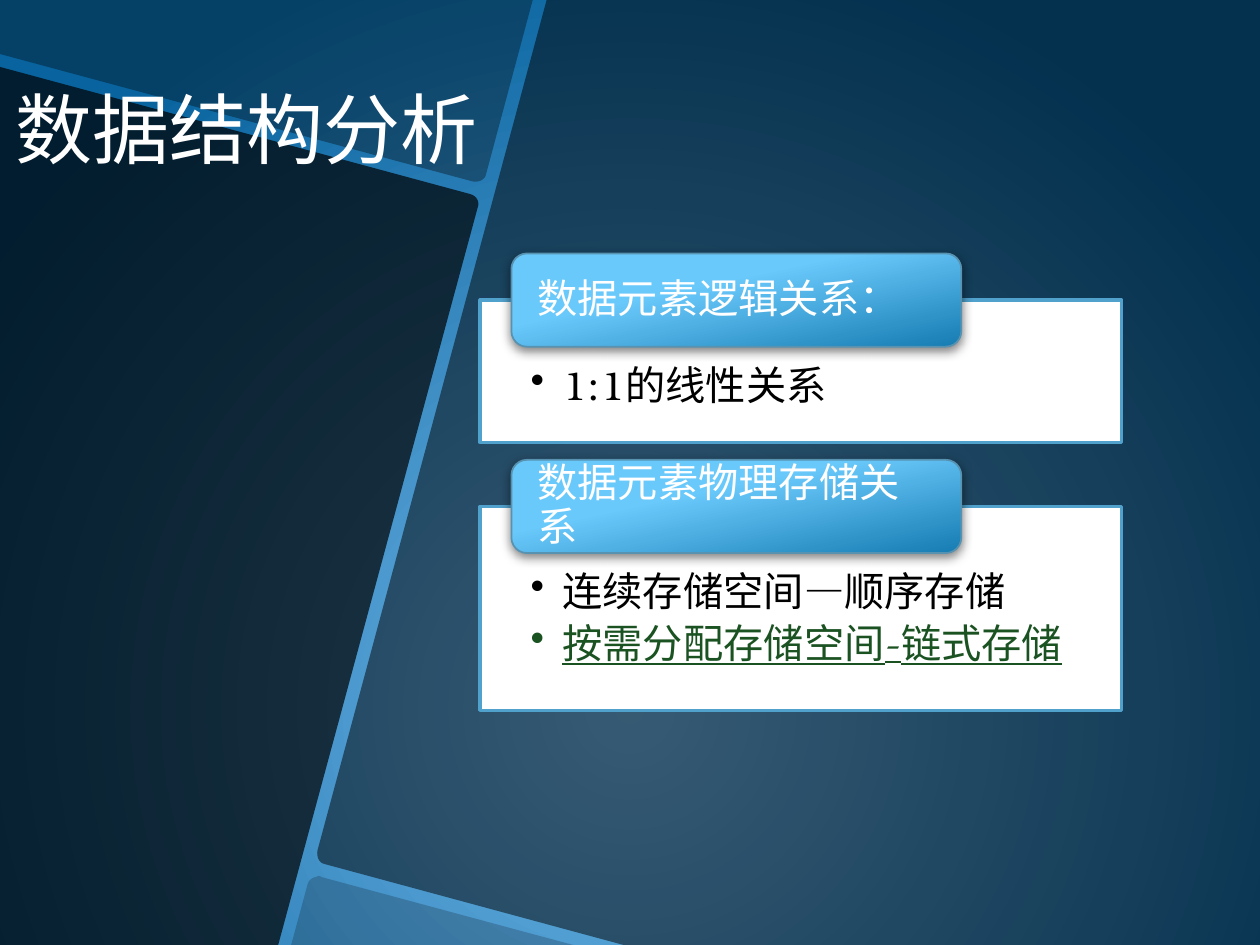
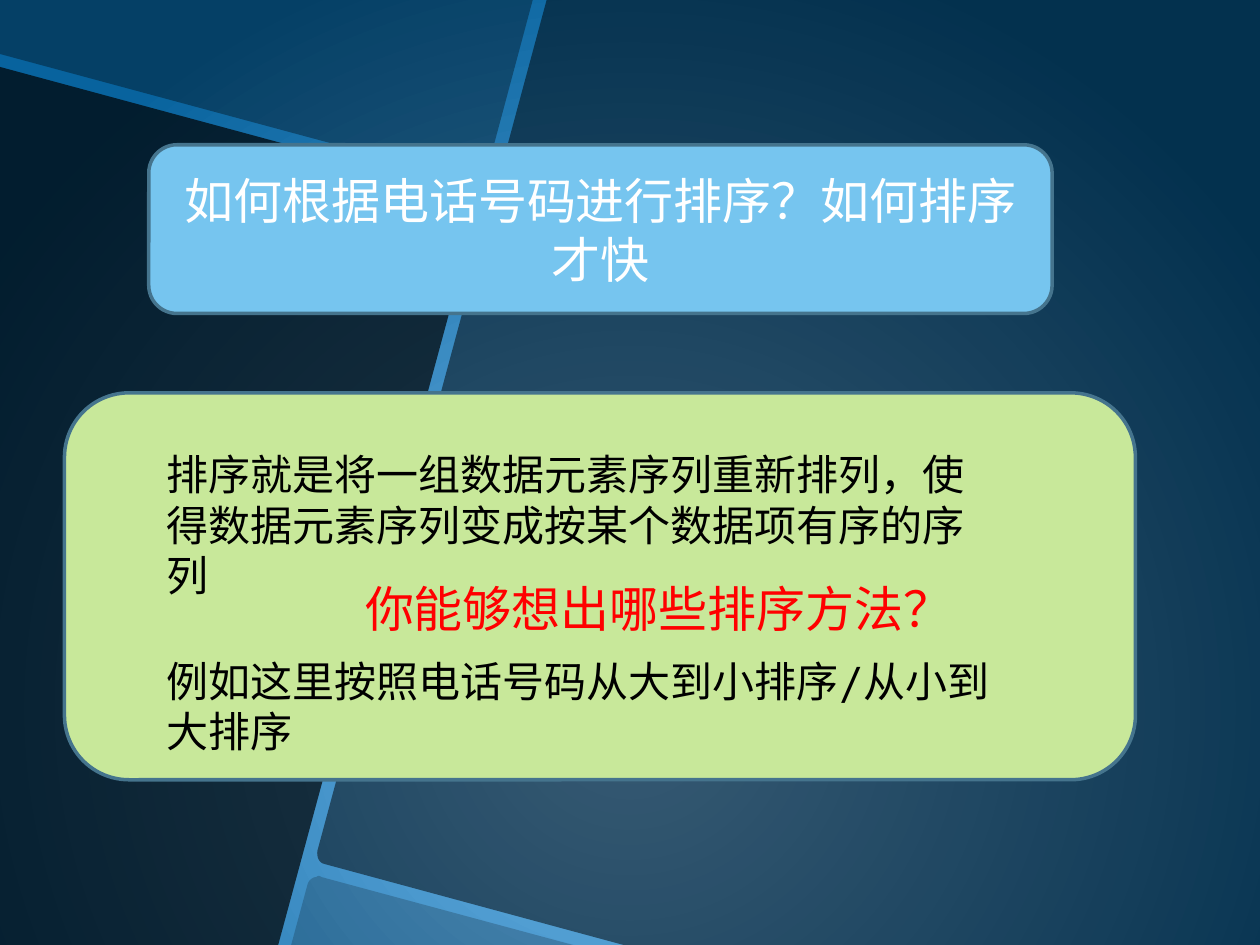
from dataclasses import dataclass

from lxml import etree
from pptx import Presentation
from pptx.dml.color import RGBColor
from pptx.enum.lang import MSO_LANGUAGE_ID
from pptx.enum.shapes import MSO_SHAPE
from pptx.enum.text import MSO_ANCHOR, PP_ALIGN
from pptx.oxml.ns import qn
from pptx.util import Cm, Pt

RECT, ROUNDED = MSO_SHAPE.RECTANGLE, MSO_SHAPE.ROUNDED_RECTANGLE
TOP, MIDDLE, BOTTOM = MSO_ANCHOR.TOP, MSO_ANCHOR.MIDDLE, MSO_ANCHOR.BOTTOM
LEFT, CENTER, RIGHT = PP_ALIGN.LEFT, PP_ALIGN.CENTER, PP_ALIGN.RIGHT
CHINESE = MSO_LANGUAGE_ID.SIMPLIFIED_CHINESE


@dataclass(frozen=True)
class Theme:
    """Fonts, type sizes in points and colours of the deck."""

    font: str = "TeX Gyre Bonum"
    title: int = 44
    question: int = 28
    body: int = 24
    card: int = 23
    white: str = "FFFFFF"
    black: str = "000000"
    link: str = "1A5221"
    prompt: str = "FF0000"
    glow: str = "70B6E8"
    edge: str = "08639E"
    card_line: str = "50A1CC"
    tab_light: str = "6AC9FB"
    tab_dark: str = "167CB2"
    tab_line: str = "5792B1"
    sky: str = "76C5EF"
    lime: str = "C8E89A"
    outline: str = "45748D"


@dataclass(frozen=True)
class Box:
    """A rectangle in centimetres."""

    left: float
    top: float
    width: float
    height: float

    def emu(self):
        """Return the four lengths for python-pptx."""
        return Cm(self.left), Cm(self.top), Cm(self.width), Cm(self.height)


THEME = Theme()
WIDTH, HEIGHT = 25.4, 19.05
DEFAULT_INSETS = (0.25, 0.13, 0.25, 0.13)

# Pairs are corners; sextuples are Bezier curves (two controls, then the end).
PANELS = [
    (70, [(0, 1.35), (9.47, 3.91), (9.6, 3.94, 9.68, 4.06, 9.63, 4.19),
          (5.61, HEIGHT), (0, HEIGHT)]),
    (35, [(0, 0), (10.74, 0), (9.8, 3.51),
          (9.78, 3.63, 9.65, 3.68, 9.53, 3.66), (0, 1.09)]),
    (20, [(6.38, 17.68), (6.4, 17.65, 6.45, 17.65, 6.48, 17.68),
          (11.56, HEIGHT), (5.87, HEIGHT), (6.2, 17.83),
          (6.22, 17.75, 6.3, 17.68, 6.38, 17.68)]),
    (50, [(11.02, 0), (WIDTH, 0), (WIDTH, HEIGHT), (12.57, HEIGHT),
          (6.55, 17.42), (6.43, 17.4, 6.38, 17.27, 6.4, 17.15)]),
]

CARDS = [
    ("数据元素逻辑关系：", 2.87, [("1:1的线性关系", False)]),
    ("数据元素物理存储关系", 4.11,
     [("连续存储空间—顺序存储", False), ("按需分配存储空间-链式存储", True)]),
]


def rgb(code):
    """Turn a hex code into a colour."""
    return RGBColor.from_string(code)


def child(parent, tag, **attributes):
    """Append a DrawingML element and return it."""
    texts = {name: str(value) for name, value in attributes.items()}
    return etree.SubElement(parent, qn(tag), texts)


def gradient(fill, stops):
    """Give a fill a two-stop gradient."""
    fill.gradient()
    for stop, (position, colour) in zip(fill.gradient_stops, stops):
        stop.position = position
        stop.color.rgb = rgb(colour)


def set_background(master):
    """Give every slide the radial blue background."""
    gradient(master.background.fill, [(0, THEME.glow), (1, THEME.edge)])
    radial = master._element.find(".//" + qn("a:gradFill"))
    radial.remove(radial.find(qn("a:lin")))
    focus = child(radial, "a:path", path="circle")
    child(focus, "a:fillToRect", l=50000, t=50000, r=50000, b=0)


def trace(outline, steps=8):
    """Turn corners and curves into a list of points."""
    points = []
    for part in outline:
        if len(part) == 2:
            points.append(part)
            continue
        (x0, y0), (x1, y1, x2, y2, x3, y3) = points[-1], part
        for step in range(1, steps + 1):
            t = step / steps
            weights = ((1 - t) ** 3, 3 * t * (1 - t) ** 2, 3 * t * t * (1 - t), t ** 3)
            points.append((sum(w * x for w, x in zip(weights, (x0, x1, x2, x3))),
                           sum(w * y for w, y in zip(weights, (y0, y1, y2, y3)))))
    return points


def draw_panels(slide):
    """Lay the translucent black panels over the background."""
    for opacity, outline in PANELS:
        start, *rest = [(Cm(x), Cm(y)) for x, y in trace(outline)]
        builder = slide.shapes.build_freeform(*start)
        builder.add_line_segments(rest, close=True)
        panel = builder.convert_to_shape()
        panel.shadow.inherit = False
        panel.line.fill.background()
        panel.fill.solid()
        panel.fill.fore_color.rgb = rgb(THEME.black)
        colour = panel._element.spPr.find(".//" + qn("a:srgbClr"))
        child(colour, "a:alpha", val=opacity * 1000)


def add_block(slide, kind, box, fill, line, weight):
    """Add a filled and outlined preset shape."""
    block = slide.shapes.add_shape(kind, *box.emu())
    block.shadow.inherit = False
    block.fill.solid()
    block.fill.fore_color.rgb = rgb(fill)
    block.line.color.rgb = rgb(line)
    block.line.width = Pt(weight)
    return block


def prepare_frame(shape, anchor, insets=DEFAULT_INSETS):
    """Set wrapping, anchor and insets, and return the text frame."""
    frame = shape.text_frame
    frame.word_wrap = True
    frame.vertical_anchor = anchor
    (frame.margin_left, frame.margin_top,
     frame.margin_right, frame.margin_bottom) = map(Cm, insets)
    return frame


def write(paragraph, words, size, colour, align=LEFT, underline=None):
    """Add one run to a paragraph."""
    paragraph.alignment = align
    run = paragraph.add_run()
    run.text = words
    font = run.font
    font.name, font.size = THEME.font, Pt(size)
    font.color.rgb = rgb(colour)
    font.underline = underline
    font.language_id = CHINESE


def add_text(slide, box, words, size, colour, anchor=TOP, align=LEFT,
             insets=DEFAULT_INSETS):
    """Add a text box with a single paragraph."""
    frame = prepare_frame(slide.shapes.add_textbox(*box.emu()), anchor, insets)
    write(frame.paragraphs[0], words, size, colour, align)


def add_bullet(paragraph, words, linked):
    """Write one bulleted card line."""
    paragraph.line_spacing = 0.9
    paragraph.space_after = Pt(4.5)
    properties = paragraph._p.get_or_add_pPr()
    properties.set("marL", str(Cm(0.64)))
    properties.set("indent", str(-Cm(0.64)))
    child(properties, "a:buChar", char="•")
    write(paragraph, words, THEME.card, THEME.link if linked else THEME.black,
          underline=linked or None)


def add_tab(slide, box, heading):
    """Add the glossy heading tab of a card."""
    tab = add_block(slide, ROUNDED, box, THEME.tab_light, THEME.tab_line, 1)
    gradient(tab.fill, [(0.38, THEME.tab_light), (1, THEME.tab_dark)])
    tab.fill.gradient_angle = 282
    shadow = child(tab._element.spPr.find(qn("a:effectLst")), "a:outerShdw",
                   blurRad=Pt(6), dist=Pt(2), dir=5400000, rotWithShape=0)
    colour = child(shadow, "a:srgbClr", val=THEME.black)
    child(colour, "a:alpha", val=50000)
    paragraph = prepare_frame(tab, MIDDLE, (0.43, 0.1, 0.43, 0.1)).paragraphs[0]
    paragraph.line_spacing = 0.9
    write(paragraph, heading, THEME.card, THEME.white)


def add_card(slide, box, heading, points):
    """Add a white card with its bullets and heading tab."""
    card = add_block(slide, RECT, box, THEME.white, THEME.card_line, 2)
    frame = prepare_frame(card, TOP, (1.02, 1.32, 1.02, 0.46))
    for index, (words, linked) in enumerate(points):
        paragraph = frame.add_paragraph() if index else frame.paragraphs[0]
        add_bullet(paragraph, words, linked)
    add_tab(slide, Box(box.left + 0.63, box.top - 0.94, 9.07, 1.88), heading)


def add_card_stack(slide, left, top, width, gap):
    """Stack the cards with equal gaps."""
    for heading, height, points in CARDS:
        add_card(slide, Box(left, top, width, height), heading, points)
        top += height + gap


def add_sorting_panel(slide, box):
    """Add the green panel that explains sorting."""
    add_block(slide, ROUNDED, box, THEME.lime, THEME.outline, 2)
    left = box.left + 1.8
    add_text(slide, Box(left, box.top + 1, 17.2, 3.33),
             "排序就是将一组数据元素序列重新排列，使得数据元素序列变成按某个数据项有序的序列",
             THEME.body, THEME.black)
    add_text(slide, Box(left, box.top + 5.16, 17.2, 2.31),
             "例如这里按照电话号码从大到小排序/从小到大排序", THEME.body, THEME.black)
    add_text(slide, Box(box.left + 5.81, box.top + 2.82, 18, 3.05),
             "你能够想出哪些排序方法？", THEME.question, THEME.prompt, MIDDLE)


def build_structure_slide(slide):
    """Build the data structure analysis slide."""
    draw_panels(slide)
    add_text(slide, Box(0, 0, 9.88, 3.63), "数据结构分析", THEME.title, THEME.white,
             BOTTOM, RIGHT, (0, 0.13, 0.25, 0.13))
    add_card_stack(slide, left=9.68, top=6.05, width=12.93, gap=1.29)


def build_sorting_slide(slide):
    """Build the sorting question slide."""
    draw_panels(slide)
    question = add_block(slide, ROUNDED, Box(3, 2.92, 18.21, 3.4),
                         THEME.sky, THEME.outline, 2)
    write(prepare_frame(question, MIDDLE).paragraphs[0],
          "如何根据电话号码进行排序？如何排序才快", THEME.question, THEME.white, CENTER)
    add_sorting_panel(slide, Box(1.3, 7.92, 21.59, 7.8))


def main():
    """Build and save the deck."""
    deck = Presentation()
    deck.slide_width, deck.slide_height = Cm(WIDTH), Cm(HEIGHT)
    set_background(deck.slide_master)
    blank = deck.slide_layouts[6]
    for build in (build_structure_slide, build_sorting_slide):
        build(deck.slides.add_slide(blank))
    deck.save("out.pptx")


if __name__ == "__main__":
    main()
